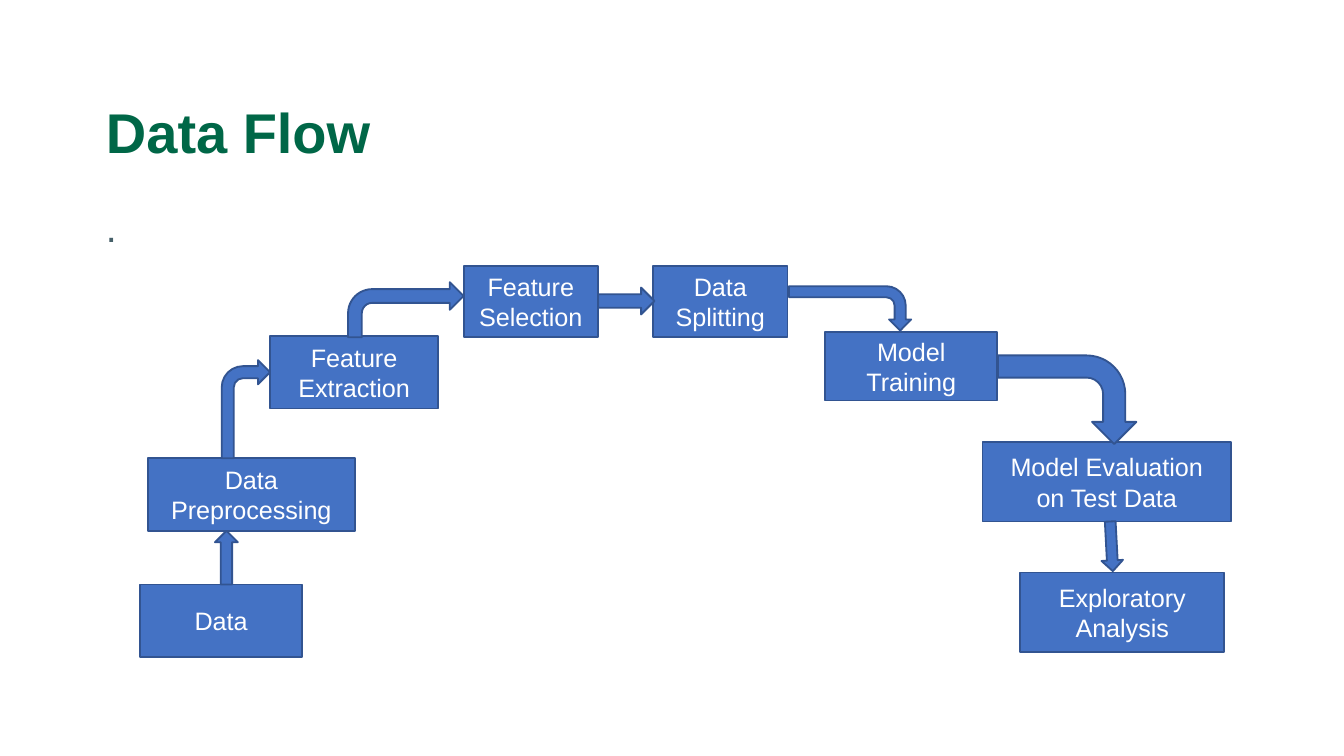
"""Build the Data Flow slide: eight process steps joined by block arrows."""
from dataclasses import dataclass

import pptx
import pptx.util
import pptx.dml.color
import pptx.enum.shapes
import pptx.enum.text

Inches = pptx.util.Inches
Pt = pptx.util.Pt
Shape = pptx.enum.shapes.MSO_SHAPE
Align = pptx.enum.text.PP_ALIGN
Anchor = pptx.enum.text.MSO_ANCHOR


@dataclass(frozen=True)
class Theme:
    font: str = "Arial"
    green: str = "006747"
    gray: str = "466069"
    white: str = "FFFFFF"
    blue: str = "4472C4"
    edge: str = "325491"
    title: float = 30
    body: float = 21
    label: float = 13.5


theme = Theme()


def write(shape, text, size, color, bold=False, align=Align.LEFT, anchor=Anchor.MIDDLE, line=1.0):
    frame = shape.text_frame
    frame.word_wrap = True
    frame.vertical_anchor = anchor
    frame.margin_left = frame.margin_right = Inches(0.1)
    frame.margin_top = frame.margin_bottom = Inches(0.05)
    frame.text = text
    para = frame.paragraphs[0]
    para.alignment = align
    para.line_spacing = line
    font = para.runs[0].font
    font.name, font.size, font.bold = theme.font, Pt(size), bold
    font.color.rgb = pptx.dml.color.RGBColor.from_string(color)


def block(kind, box):
    shape = slide.shapes.add_shape(kind, *map(Inches, box))
    shape.shadow.inherit = False
    shape.fill.solid()
    shape.fill.fore_color.rgb = pptx.dml.color.RGBColor.from_string(theme.blue)
    shape.line.color.rgb = pptx.dml.color.RGBColor.from_string(theme.edge)
    shape.line.width = Pt(1)
    return shape


deck = pptx.Presentation()
deck.slide_width, deck.slide_height = Inches(10), Inches(10 * 9 / 16)
slide = deck.slides.add_slide(deck.slide_layouts[6])

title = slide.shapes.add_textbox(Inches(0.69), Inches(0.63), Inches(8.62), Inches(0.76))
write(title, "Data Flow", theme.title, theme.green, bold=True, line=0.9)
body = slide.shapes.add_textbox(Inches(0.69), Inches(1.5), Inches(8.8), Inches(3.57))
write(body, ".", theme.body, theme.gray, anchor=Anchor.TOP, line=0.9)

steps = [
    ("Data", (1.04, 4.35, 1.21, 0.54)),
    ("Data Preprocessing", (1.1, 3.41, 1.54, 0.54)),
    ("Feature Extraction", (2.01, 2.5, 1.25, 0.54)),
    ("Feature Selection", (3.45, 1.98, 1, 0.53)),
    ("Data Splitting", (4.86, 1.98, 1, 0.53)),
    ("Model Training", (6.14, 2.47, 1.28, 0.51)),
    ("Model Evaluation on Test Data", (7.31, 3.29, 1.85, 0.59)),
    ("Exploratory Analysis", (7.59, 4.26, 1.52, 0.59)),
]
for name, box in steps:
    write(block(Shape.RECTANGLE, box), name, theme.label, theme.white, align=Align.CENTER)

arrows = [
    (Shape.UP_ARROW, (1.6, 3.95, 0.17, 0.4), 0),
    (Shape.BENT_ARROW, (1.65, 2.68, 0.36, 0.73), 0),
    (Shape.BENT_ARROW, (2.59, 2.1, 0.86, 0.41), 0),
    (Shape.UP_ARROW, (4.56, 2.03, 0.2, 0.42), 90),
    (Shape.BENT_ARROW, (6.16, 1.84, 0.33, 0.91), 90),
    (Shape.BENT_ARROW, (7.61, 2.46, 0.66, 1.03), 90),
    (Shape.UP_ARROW, (8.19, 3.88, 0.16, 0.37), 177),
]
for kind, box, turn in arrows:
    block(kind, box).rotation = turn

deck.save("out.pptx")
